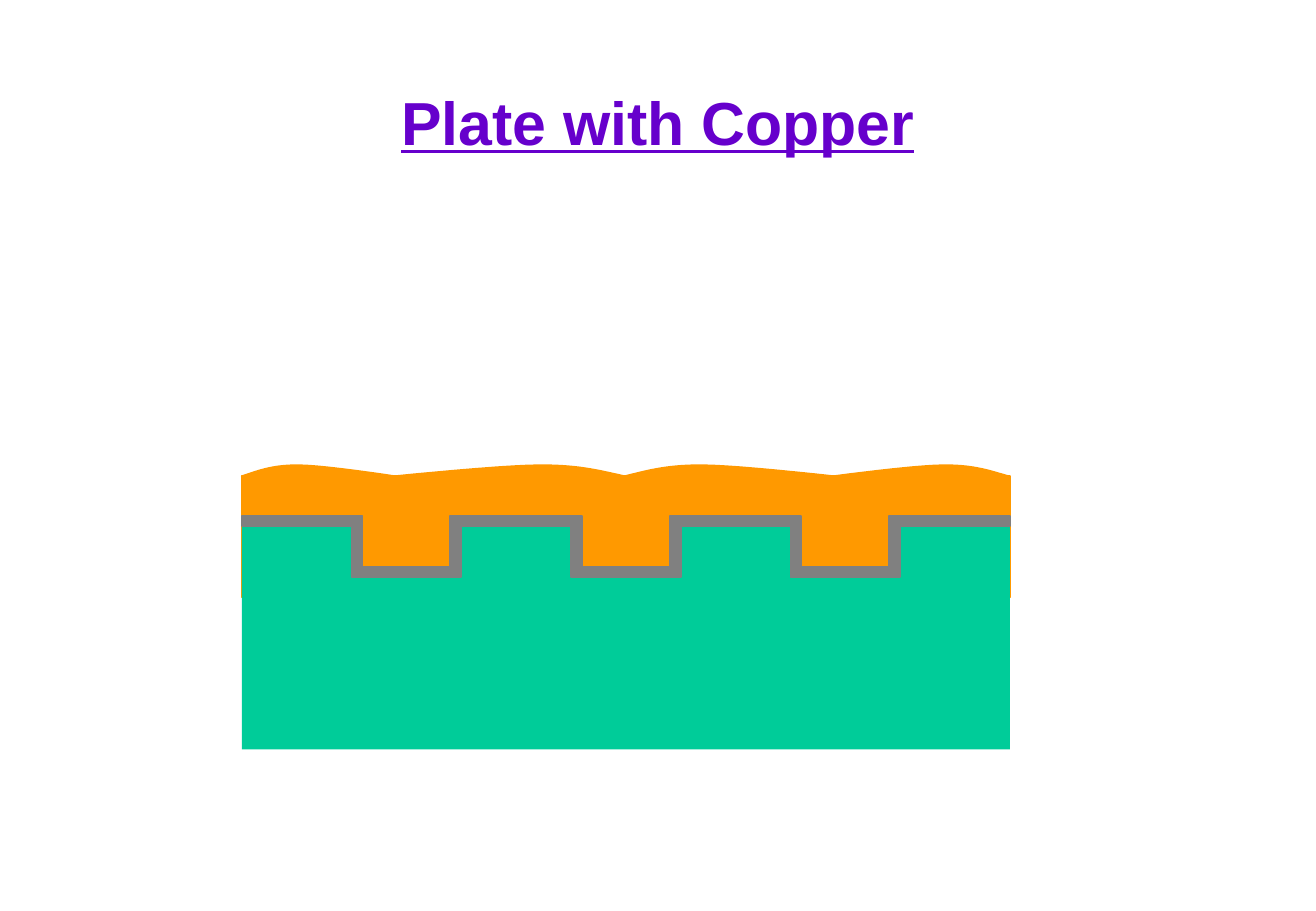
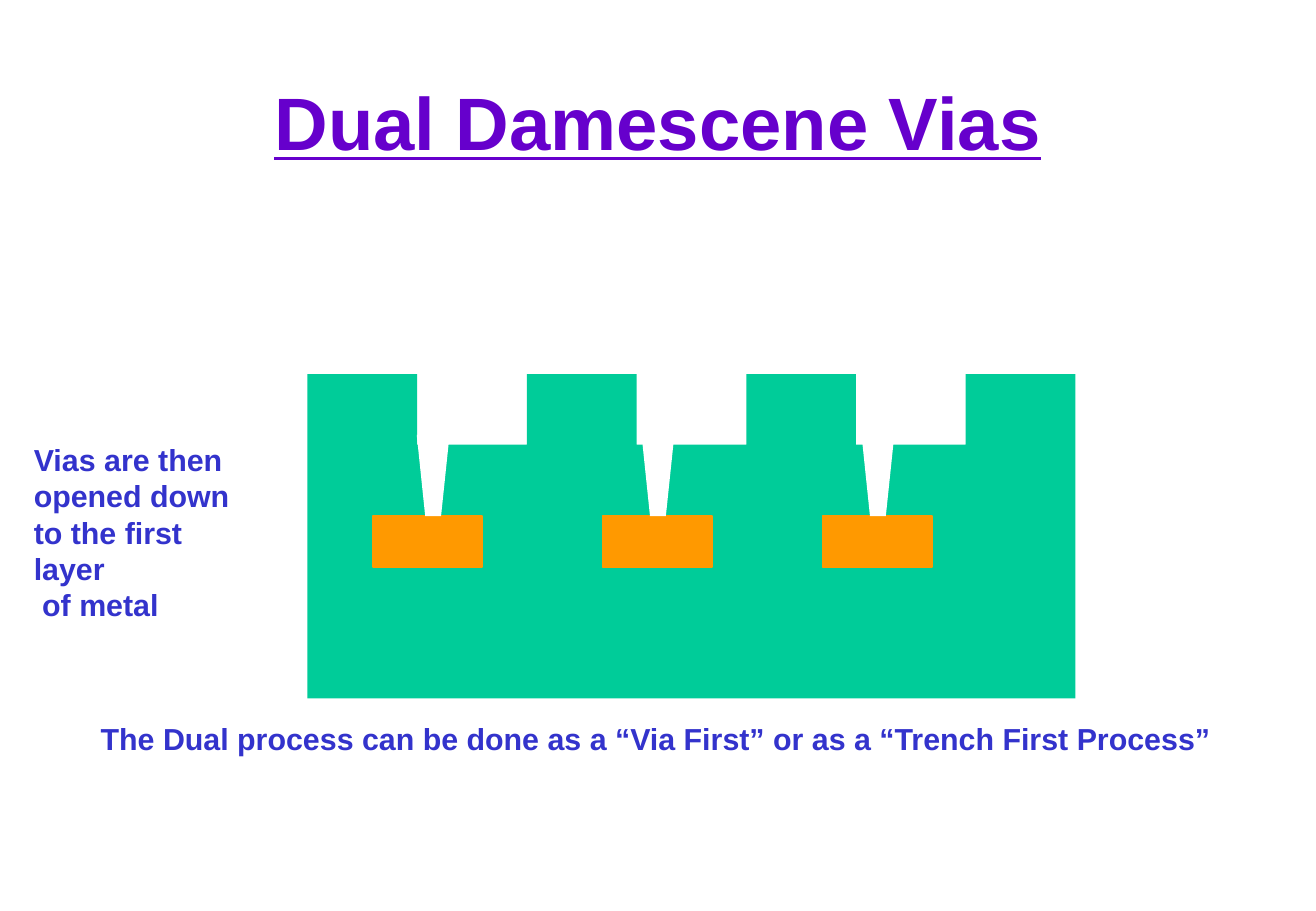
from pptx import Presentation
from pptx.dml.color import RGBColor
from pptx.enum.shapes import MSO_SHAPE
from pptx.enum.text import MSO_ANCHOR, PP_ALIGN
from pptx.util import Inches, Pt

TITLE, BODY = "6600CC", "3333CC"
OXIDE, COPPER, BARRIER, WHITE = "00CC99", "FF9900", "808080", "FFFFFF"
WIDTH = 6.32
PITCH = WIDTH / 7


def rgb(value):
    return RGBColor.from_string(value)


def trench_edge(left, top, depth, inset=0):
    """Trace a surface with three trenches, narrowed on each side by inset."""
    points = [(left, top)]
    for i in (1, 3, 5):
        start = left + i * PITCH + inset
        end = left + (i + 1) * PITCH - inset
        points += [(start, top), (start, top + depth),
                   (end, top + depth), (end, top)]
    return points + [(left + WIDTH, top)]


def block_with_trenches(left, top, depth, bottom):
    return trench_edge(left, top, depth) + [(left + WIDTH, bottom), (left, bottom)]


def bezier(controls, steps=16):
    """Sample a cubic curve, leaving out its first point."""
    points = []
    for i in range(1, steps + 1):
        t = i / steps
        weights = ((1 - t) ** 3, 3 * t * (1 - t) ** 2, 3 * t * t * (1 - t), t ** 3)
        points.append(tuple(sum(w * c[axis] for w, c in zip(weights, controls))
                            for axis in (0, 1)))
    return points


def crest(steep, flat, base):
    """Outline a bump that rises quickly at steep and falls slowly to flat."""
    profile = [(0, 0), (0.1, 0.04), (0.19, 0.09), (0.36, 0.09),
               (0.52, 0.09), (0.89, 0.02), (1, 0)]
    controls = [(steep + f * (flat - steep), base - rise) for f, rise in profile]
    return controls[:1] + bezier(controls[:4]) + bezier(controls[3:])


class Deck:
    font = "Arial"

    def __init__(self):
        self.prs = Presentation()
        self.prs.slide_width, self.prs.slide_height = Inches(10.83), Inches(7.5)
        self.s = None

    def slide(self, title, size):
        self.s = self.prs.slides.add_slide(self.prs.slide_layouts[6])
        self.text(title, 0.45, 0.37, 9.93, 1.25, size=size, color=TITLE,
                  underline=True, align=PP_ALIGN.CENTER,
                  anchor=MSO_ANCHOR.MIDDLE, wrap=True)

    def text(self, text, x, y, w, h, size=18, color=BODY, underline=False,
             align=PP_ALIGN.LEFT, anchor=MSO_ANCHOR.TOP, wrap=False):
        tf = self.s.shapes.add_textbox(*map(Inches, (x, y, w, h))).text_frame
        tf.word_wrap, tf.vertical_anchor = wrap, anchor
        tf.text = text
        for p in tf.paragraphs:
            p.alignment = align
            for r in p.runs:
                r.font.name, r.font.size = self.font, Pt(size)
                r.font.bold, r.font.underline = True, underline
                r.font.color.rgb = rgb(color)

    def paint(self, sp, fill, outlined):
        sp.shadow.inherit = False
        sp.fill.solid()
        sp.fill.fore_color.rgb = rgb(fill)
        if outlined:
            sp.line.color.rgb = rgb(fill)
            sp.line.width = Pt(1)
        else:
            sp.line.fill.background()

    def rect(self, x, y, w, h, fill):
        sp = self.s.shapes.add_shape(MSO_SHAPE.RECTANGLE, *map(Inches, (x, y, w, h)))
        self.paint(sp, fill, True)

    def outline(self, points, fill, outlined=False):
        start, *rest = [(Inches(x), Inches(y)) for x, y in points]
        builder = self.s.shapes.build_freeform(*start)
        builder.add_line_segments(rest, close=True)
        self.paint(builder.convert_to_shape(), fill, outlined)


def copper_plating(deck):
    deck.slide("Plate with Copper", 36)
    left, copper_top, oxide_top, depth = 1.99, 3.92, 4.25, 0.42
    for steep, flat in ((left, 3.25), (5.14, 3.25), (5.14, 6.86), (8.3, 6.86)):
        deck.outline(crest(steep, flat, copper_top), COPPER, True)
    deck.rect(left, copper_top, WIDTH, 1, COPPER)
    deck.outline(block_with_trenches(left, oxide_top, depth, 6.17), OXIDE)
    upper = trench_edge(left, oxide_top, depth, inset=0.09)
    lower = trench_edge(left, oxide_top + 0.08, depth)
    deck.outline(upper + lower[::-1], BARRIER, True)


def dual_vias(deck):
    deck.slide("Dual Damescene Vias", 44)
    deck.outline(block_with_trenches(2.53, 3.08, 0.58, 5.75), OXIDE)
    via_top, metal_top = 3.58, 4.25
    for x in (3.07, 4.96, 6.77):
        deck.rect(x, metal_top, 0.9, 0.42, COPPER)
    for x in (3.43, 5.28, 7.09):
        deck.outline([(x, via_top), (x + 0.27, via_top),
                      (x + 0.2, metal_top), (x + 0.07, metal_top)], WHITE)
    deck.text("Vias are then\nopened down\nto the first layer\n of metal",
              0.18, 3.58, 2.07, 1.3)
    deck.text("The Dual process can be done as a “Via First” or as a "
              "“Trench First Process”", 0.73, 5.88, 9.42, 0.4)


def main():
    deck = Deck()
    copper_plating(deck)
    dual_vias(deck)
    deck.prs.save("out.pptx")


if __name__ == "__main__":
    main()
